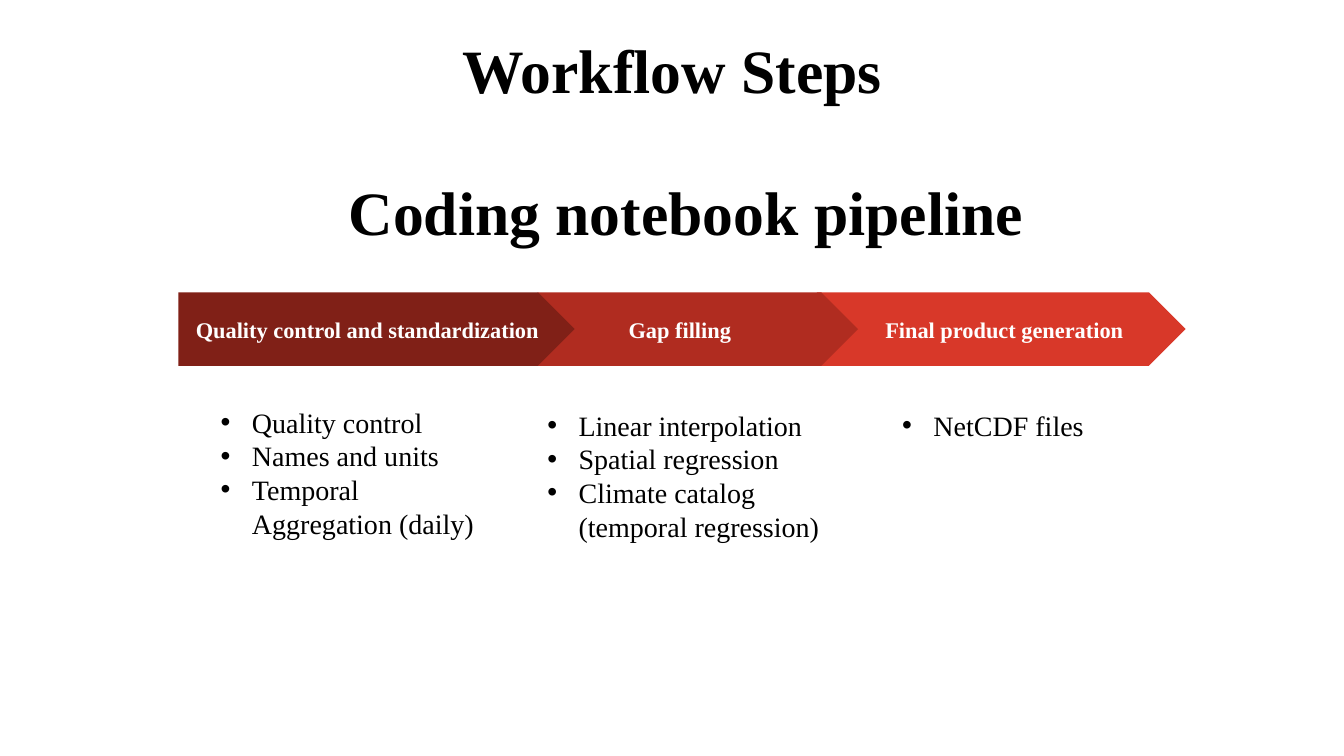
from pptx import Presentation
from pptx.dml.color import RGBColor
from pptx.enum.shapes import MSO_SHAPE
from pptx.enum.text import MSO_ANCHOR, PP_ALIGN
from pptx.oxml.ns import qn
from pptx.util import Inches, Pt
from lxml.etree import SubElement

FONT = "Times New Roman"
BLACK, WHITE = "000000", "FFFFFF"
ARROW_TOP, ARROW_HEIGHT = 2.9, 0.73
BULLET_INDENT = Inches(0.31)

# text, shape, left, width, fill, alignment, left inset
STEPS = [
    ("Quality control and standardization", MSO_SHAPE.PENTAGON,
     1.77, 3.93, "802017", PP_ALIGN.CENTER, 0.1),
    ("Gap filling", MSO_SHAPE.CHEVRON,
     5.33, 3.18, "B02C20", PP_ALIGN.LEFT, 0.54),
    ("Final product generation", MSO_SHAPE.CHEVRON,
     8.1, 3.66, "D83829", PP_ALIGN.CENTER, 0.16),
]

# left, top, width, height, items
DETAILS = [
    (2.09, 3.97, 2.98, 1.45,
     ["Quality control", "Names and units", "Temporal Aggregation (daily)"]),
    (5.33, 4, 3.18, 1.45,
     ["Linear interpolation", "Spatial regression",
      "Climate catalog (temporal regression)"]),
    (8.85, 4, 2.33, 0.44, ["NetCDF files"]),
]


def color(hex_string):
    return RGBColor.from_string(hex_string)


def format_runs(paragraph, size, font_color, bold=False):
    for run in paragraph.runs:
        run.font.name = FONT
        run.font.size = Pt(size)
        run.font.bold = bold
        run.font.color.rgb = color(font_color)


def add_text_box(slide, left, top, width, height, text):
    shape = slide.shapes.add_textbox(
        Inches(left), Inches(top), Inches(width), Inches(height))
    shape.text_frame.word_wrap = True
    shape.text_frame.text = text
    return shape.text_frame


def add_heading(slide, left, top, width, height, text, alignment, anchor):
    text_frame = add_text_box(slide, left, top, width, height, text)
    text_frame.vertical_anchor = anchor
    if anchor == MSO_ANCHOR.BOTTOM:
        text_frame.margin_top = text_frame.margin_bottom = Inches(0.1)
    paragraph = text_frame.paragraphs[0]
    paragraph.alignment = alignment
    paragraph.line_spacing = 0.9
    format_runs(paragraph, 44, BLACK, bold=True)


def add_step(slide, text, preset, left, width, fill, alignment, left_inset):
    shape = slide.shapes.add_shape(
        preset, Inches(left), Inches(ARROW_TOP),
        Inches(width), Inches(ARROW_HEIGHT))
    shape.adjustments[0] = 0.5
    shape.shadow.inherit = False
    shape.fill.solid()
    shape.fill.fore_color.rgb = color(fill)
    shape.line.fill.background()
    text_frame = shape.text_frame
    text_frame.word_wrap = True
    text_frame.vertical_anchor = MSO_ANCHOR.MIDDLE
    text_frame.margin_left = Inches(left_inset)
    text_frame.margin_right = Inches(0.1)
    text_frame.margin_top = text_frame.margin_bottom = Inches(0.1)
    text_frame.text = text
    paragraph = text_frame.paragraphs[0]
    paragraph.alignment = alignment
    format_runs(paragraph, 16, WHITE, bold=True)


def add_bullet(paragraph):
    properties = paragraph._p.get_or_add_pPr()
    properties.set("marL", str(BULLET_INDENT))
    properties.set("indent", str(-BULLET_INDENT))
    SubElement(properties, qn("a:buFont")).set("typeface", "Arial")
    SubElement(properties, qn("a:buChar")).set("char", "•")


def add_bullet_list(slide, left, top, width, height, items):
    text_frame = add_text_box(slide, left, top, width, height, "\n".join(items))
    for paragraph in text_frame.paragraphs:
        add_bullet(paragraph)
        format_runs(paragraph, 20, BLACK)


def main():
    presentation = Presentation()
    presentation.slide_width = Inches(13.33)
    presentation.slide_height = Inches(7.5)
    slide = presentation.slides.add_slide(presentation.slide_layouts[6])

    add_heading(slide, 0.92, 0, 11.5, 1.45, "Workflow Steps",
                PP_ALIGN.CENTER, MSO_ANCHOR.MIDDLE)
    add_heading(slide, 3.36, 1.82, 9.15, 0.75, "Coding notebook pipeline",
                PP_ALIGN.LEFT, MSO_ANCHOR.BOTTOM)
    # Each earlier step lies over the tail of the next one.
    for step in reversed(STEPS):
        add_step(slide, *step)
    for detail in DETAILS:
        add_bullet_list(slide, *detail)

    presentation.save("out.pptx")


if __name__ == "__main__":
    main()
